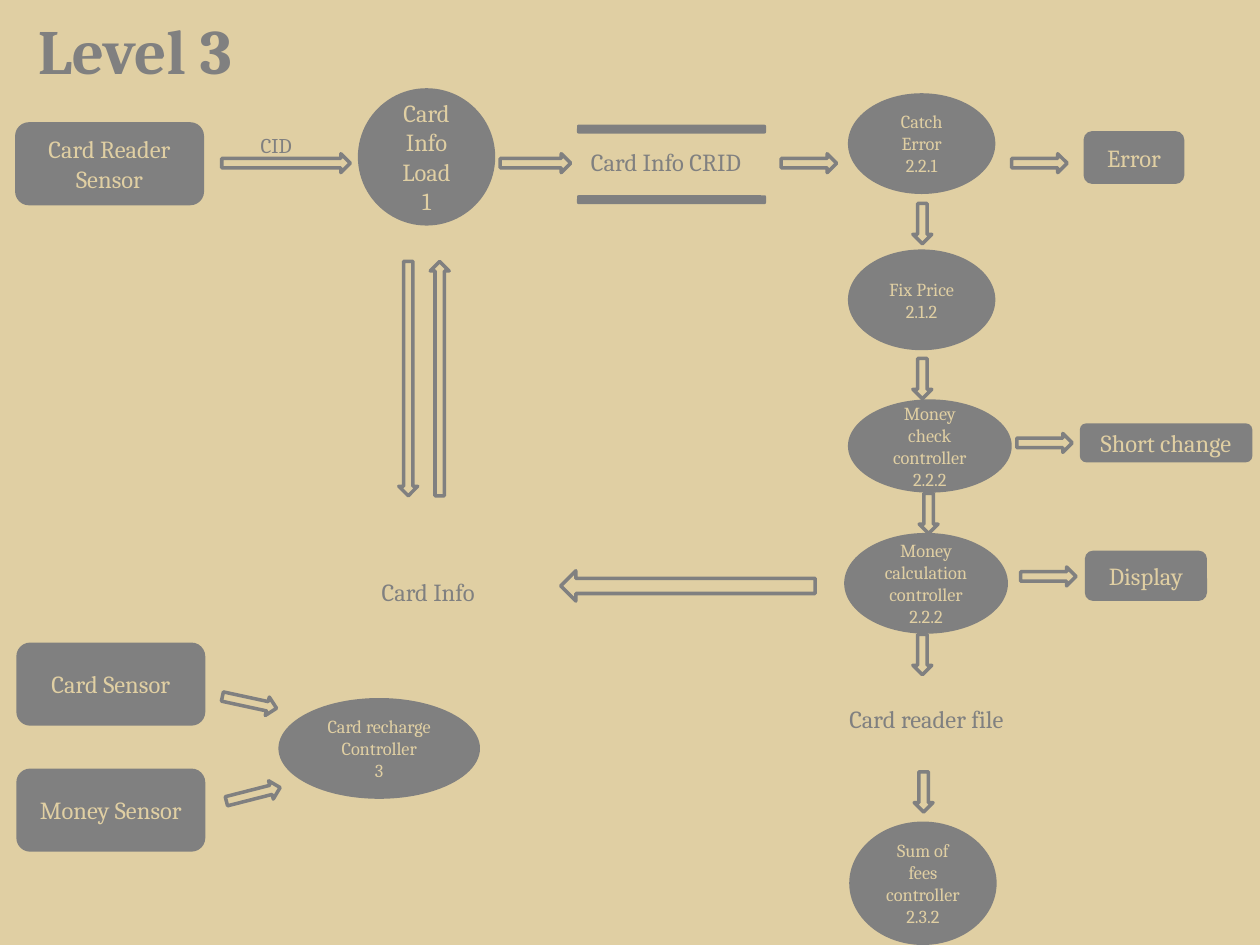
from dataclasses import dataclass

from pptx import Presentation
from pptx.dml.color import RGBColor
from pptx.enum.shapes import MSO_SHAPE
from pptx.enum.text import MSO_ANCHOR, MSO_AUTO_SIZE, PP_ALIGN
from pptx.util import Inches, Pt


@dataclass(frozen=True)
class Theme:
    font: str = "Cambria"
    sand: RGBColor = RGBColor(0xE0, 0xCF, 0xA3)
    gray: RGBColor = RGBColor(0x80, 0x80, 0x80)
    title: float = 36
    label: float = 14
    flow: float = 12
    process: float = 10.5
    outline: float = 2


theme = Theme()
presentation = Presentation()
presentation.slide_width = Inches(10)
presentation.slide_height = Inches(7.5)

# Grid of 100 columns by 75 rows
COLUMN = presentation.slide_width / 100
ROW = presentation.slide_height / 75


def write_text(shape, text, *, size=theme.label, color=theme.sand, bold=False,
               align=PP_ALIGN.CENTER, anchor=MSO_ANCHOR.MIDDLE,
               fit=MSO_AUTO_SIZE.NONE, inset=1):
    frame = shape.text_frame
    frame.word_wrap = True
    frame.auto_size = fit
    frame.vertical_anchor = anchor
    frame.margin_left = int(inset * COLUMN)
    frame.text = text
    for paragraph in frame.paragraphs:
        paragraph.alignment = align
        paragraph.font.name = theme.font
        paragraph.font.size = Pt(size)
        paragraph.font.bold = bold
        paragraph.font.color.rgb = color


def add_block(kind, left, top, width, height, filled=True):
    shape = slide.shapes.add_shape(kind, int(left * COLUMN), int(top * ROW),
                                   int(width * COLUMN), int(height * ROW))
    shape.shadow.inherit = False
    if filled:
        shape.fill.solid()
        shape.fill.fore_color.rgb = theme.gray
        shape.line.fill.background()
    else:
        shape.fill.background()
        shape.line.color.rgb = theme.gray
        shape.line.width = Pt(theme.outline)
    return shape


# Slide, background and title
slide = presentation.slides.add_slide(presentation.slide_layouts[5])
slide.background.fill.solid()
slide.background.fill.fore_color.rgb = theme.sand
title = slide.shapes.title
title.left, title.top = 0, int(0.4 * ROW)
title.width, title.height = int(21.4 * COLUMN), int(7.1 * ROW)
write_text(title, "Level 3", size=theme.title, color=theme.gray, bold=True,
           anchor=MSO_ANCHOR.TOP)

# Arrows: center column, center row, length, thickness, rotation
MAIN_ROW = 12.95
LONG_ROW = 30.05
THIN = 1.5
arrows = [
    (22.7, MAIN_ROW, 10.2, THIN, 0),
    (42.5, MAIN_ROW, 5.6, THIN, 0),
    (34.9, LONG_ROW, 18.6, THIN, 270),
    (32.4, LONG_ROW, 18.6, THIN, 90),
    (54.6, 46.5, 20.2, 2.4, 180),
]
# Short arrows to the right, two of them tilted towards the recharge process
arrows += [(column, row, 4.4, THIN, turn) for column, row, turn in [
    (64.2, MAIN_ROW, 0), (82.5, MAIN_ROW, 0), (82.9, 35.15, 0),
    (83.2, 45.75, 0), (19.8, 55.75, 12.2), (20.1, 63.05, 345.7)]]
# Short arrows down the process chain
arrows += [(column, row, 3.2, THIN, 90) for column, row in [
    (73.2, 17.75), (73.2, LONG_ROW), (73.7, 40.75), (73.2, 51.95), (73.3, 62.85)]]
for column, row, length, thickness, turn in arrows:
    arrow = add_block(MSO_SHAPE.RIGHT_ARROW, column - length / 2,
                      row - thickness / 2, length, thickness, filled=False)
    arrow.rotation = turn

# Sensors and outputs
for text, left, top, width, height in [
    ("Card Reader\nSensor", 1.2, 9.7, 15, 6.6),
    ("Card Sensor", 1.3, 51, 15, 6.6),
    ("Money Sensor", 1.3, 61, 15, 6.6),
    ("Error", 86, 10.4, 8, 4.2),
    ("Short change", 85.7, 33.6, 13.7, 3.1),
    ("Display", 86.1, 43.7, 9.7, 4),
]:
    write_text(add_block(MSO_SHAPE.ROUNDED_RECTANGLE, left, top, width, height), text)

# Processes
for text, left, top, width, height, size in [
    ("Card\nInfo\nLoad\n1", 28.4, 7, 10.9, 10.9, theme.label),
    ("Catch Error\n2.2.1", 67.3, 7.4, 11.7, 8, theme.process),
    ("Fix Price\n2.1.2", 67.3, 19.8, 11.7, 8, theme.process),
    ("Money check controller\n2.2.2", 67.3, 31.7, 13, 7.4, theme.process),
    ("Money calculation controller\n2.2.2", 67, 42.3, 13, 8, theme.process),
    ("Sum of fees controller\n2.3.2", 67.4, 65.2, 11.7, 9.8, theme.process),
    ("Card recharge\nController\n3", 22.1, 55.4, 16, 8, theme.process),
]:
    write_text(add_block(MSO_SHAPE.OVAL, left, top, width, height), text, size=size)

# Data store bars
for top in (9.9, 15.5):
    add_block(MSO_SHAPE.ROUNDED_RECTANGLE, 45.8, top, 15, 0.7)

# Flow and data store labels
for text, left, top, width, height, size, inset in [
    ("CID", 19.7, 10, 5, 3, theme.flow, 1),
    ("Card Info CRID", 45.5, 11.2, 15.8, 3.4, theme.label, 1.4),
    ("Card reader file", 66, 55.4, 15.8, 3.4, theme.label, 1.4),
    ("Card Info", 29.3, 45.3, 9.9, 3.4, theme.label, 1),
]:
    label = slide.shapes.add_textbox(int(left * COLUMN), int(top * ROW),
                                     int(width * COLUMN), int(height * ROW))
    write_text(label, text, size=size, color=theme.gray, align=PP_ALIGN.LEFT,
               anchor=MSO_ANCHOR.TOP, fit=MSO_AUTO_SIZE.SHAPE_TO_FIT_TEXT, inset=inset)

presentation.save("out.pptx")
